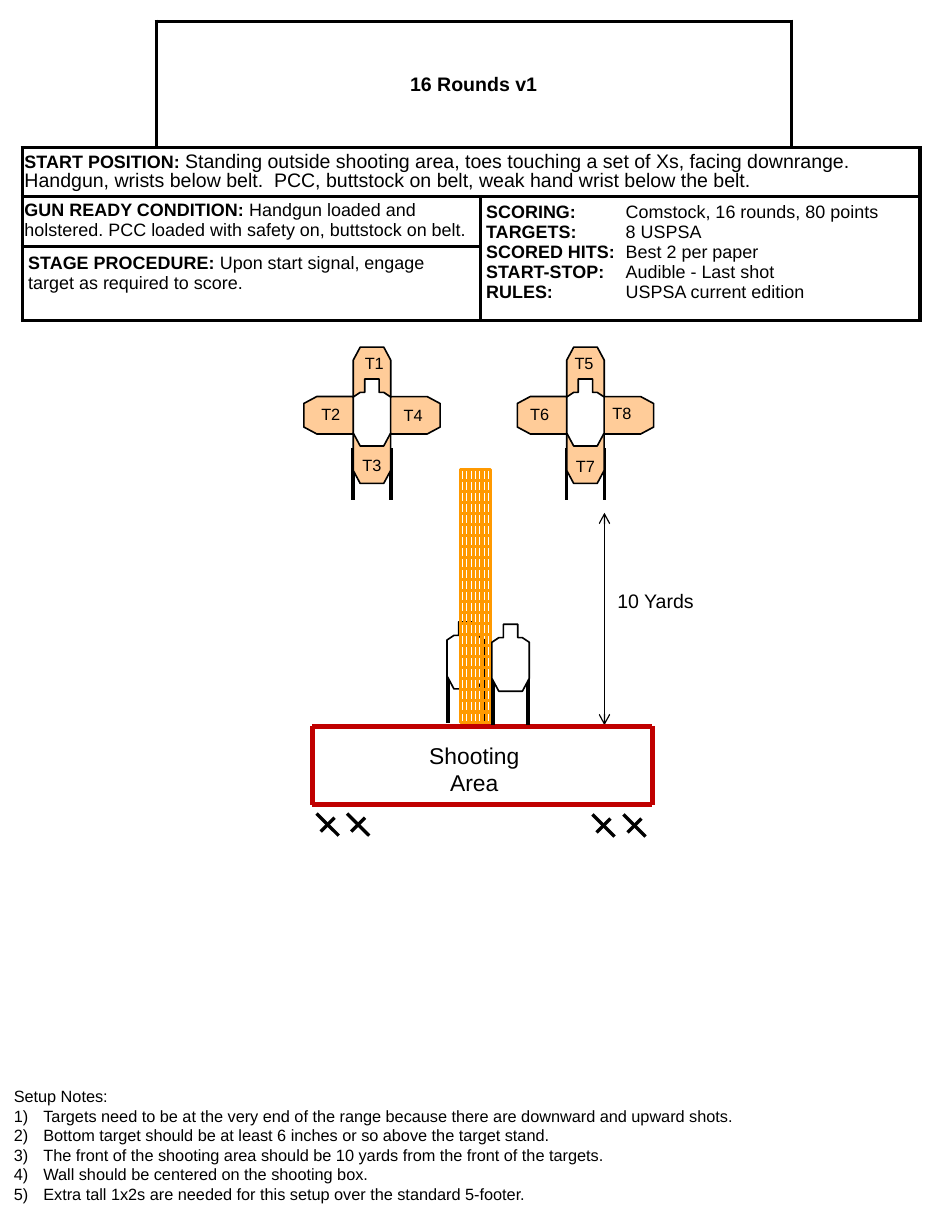
from lxml import etree
from pptx import Presentation
from pptx.dml.color import RGBColor
from pptx.enum.shapes import MSO_CONNECTOR, MSO_SHAPE
from pptx.enum.text import MSO_ANCHOR, PP_ALIGN
from pptx.oxml.ns import qn
from pptx.util import Cm, Pt

STRAIGHT = MSO_CONNECTOR.STRAIGHT
RECTANGLE = MSO_SHAPE.RECTANGLE
MIDDLE = MSO_ANCHOR.MIDDLE
LEFT, CENTER = PP_ALIGN.LEFT, PP_ALIGN.CENTER

THEME = {
    "font": "Arial",
    "black": "000000", "white": "FFFFFF", "tan": "FFCC99",
    "orange": "FF9900", "red": "C00000",
    "small": 10, "body": 11, "large": 12, "area": 14,
    "thin": 0.75, "outline": 1, "mark": 2, "frame": 2.25, "boundary": 3,
}

TITLE = "16 Rounds v1"
START = ("START POSITION: ",
         "Standing outside shooting area, toes touching a set of Xs, facing downrange. "
         "Handgun, wrists below belt.  PCC, buttstock on belt, weak hand wrist below the belt.")
READY = ("GUN READY CONDITION: ",
         "Handgun loaded and holstered. PCC loaded with safety on, buttstock on belt.")
PROCEDURE = ("STAGE PROCEDURE: ",
             "Upon start signal, engage target as required to score.")
SCORING = [
    ("SCORING:", "Comstock, 16 rounds, 80 points"),
    ("TARGETS:", "8 USPSA"),
    ("SCORED HITS:", "Best 2 per paper"),
    ("START-STOP:", "Audible - Last shot"),
    ("RULES:", "USPSA current edition"),
]
NOTES_TITLE = "Setup Notes:"
NOTES = [
    "Targets need to be at the very end of the range because there are downward and upward shots.",
    "Bottom target should be at least 6 inches or so above the target stand.",
    "The front of the shooting area should be 10 yards from the front of the targets.",
    "Wall should be centered on the shooting box.",
    "Extra tall 1x2s are needed for this setup over the standard 5-footer.",
]

COLUMNS = [2.9, 7.01, 6.73, 2.79]
ROWS = [2.74, 0.94, 1.09, 1.6]
MERGES = [((0, 1), (0, 2)), ((1, 0), (1, 3)), ((2, 0), (2, 1)),
          ((2, 2), (3, 3)), ((3, 0), (3, 1))]
OPEN_EDGES = {(0, 0): "LT", (0, 3): "RT"}

SILHOUETTE = [(0.25, 0), (0.56, 0), (0.56, 0.29), (0.66, 0.29), (0.81, 0.39),
              (0.81, 1.17), (0.66, 1.45), (0.15, 1.45), (0, 1.17), (0, 0.39),
              (0.15, 0.29), (0.25, 0.29)]
TARGET_W, TARGET_H = 0.81, 1.45
CROSS_Y, CROSS_REACH = 8.99, 0.75
CROSS_ARMS = [(-1, 0, 90), (1, 0, 270), (0, 1, 0), (0, -1, 180)]
CROSSES = [
    (8.05, [("T1", 0.05, -1.13), ("T2", -0.89, -0.01), ("T3", 0, 1.08), ("T4", 0.89, 0.01)]),
    (12.67, [("T5", -0.03, -1.13), ("T6", -0.99, -0.01), ("T7", 0, 1.1), ("T8", 0.79, -0.04)]),
]
NEAR_LEFT, NEAR_RIGHT = (10.08, 14.19), (11.05, 14.24)
AREA = (6.76, 15.72, 14.12, 17.42)
WALL = (9.96, 10.16, 0.66, 5.49)
WALL_ROWS, WALL_COLUMNS = 23, 7
FOOT_MARKS = [(7.09, 17.85), (7.75, 17.85), (13.06, 17.87), (13.73, 17.87)]


def color(name):
    return RGBColor.from_string(THEME[name])


def write(p, text, size="body", bold=False, align=LEFT):
    p.alignment = align
    r = p.add_run()
    r.text = text
    r.font.name = THEME["font"]
    r.font.size = Pt(THEME[size])
    r.font.bold = bold
    r.font.color.rgb = color("black")


def textbox(s, x, y, w, h, lines, **fmt):
    tf = s.shapes.add_textbox(Cm(x), Cm(y), Cm(w), Cm(h)).text_frame
    tf.word_wrap = False
    for i, text in enumerate(lines):
        write(tf.paragraphs[0] if i == 0 else tf.add_paragraph(), text, **fmt)
    return tf


def line(s, x1, y1, x2, y2, width, ink="black", arrows=False):
    sp = s.shapes.add_connector(STRAIGHT, Cm(x1), Cm(y1), Cm(x2), Cm(y2))
    sp.line.color.rgb = color(ink)
    sp.line.width = Pt(THEME[width])
    if arrows:
        ln = sp.line._get_or_add_ln()
        for end in ("a:headEnd", "a:tailEnd"):
            etree.SubElement(ln, qn(end), type="arrow")
    etree.SubElement(sp._element.spPr, qn("a:effectLst"))


def target(s, cx, cy, fill="white", turn=0):
    points = [(Cm(x), Cm(y)) for x, y in SILHOUETTE]
    builder = s.shapes.build_freeform(*points[0])
    builder.add_line_segments(points[1:], close=True)
    sp = builder.convert_to_shape(Cm(cx - TARGET_W / 2), Cm(cy - TARGET_H / 2))
    sp.rotation = turn
    sp.shadow.inherit = False
    sp.fill.solid()
    sp.fill.fore_color.rgb = color(fill)
    sp.line.color.rgb = color("black")
    sp.line.width = Pt(THEME["outline"])


def legs(s, cx, half, top, bottom):
    for x in (cx - half, cx + half):
        line(s, x, top, x, bottom, "frame")


def near_target(s, cx, cy):
    legs(s, cx, 0.38, cy + 0.34, cy + 1.46)
    target(s, cx, cy)


def cross(s, cx, labels):
    legs(s, cx, 0.41, CROSS_Y + 0.71, CROSS_Y + 1.83)
    for dx, dy, turn in CROSS_ARMS:
        target(s, cx + dx * CROSS_REACH, CROSS_Y + dy * CROSS_REACH, "tan", turn)
    target(s, cx, CROSS_Y - 0.06)
    for name, dx, dy in labels:
        textbox(s, cx + dx - 0.455, CROSS_Y + dy - 0.345, 0.91, 0.69, [name], size="small")


def style_cell(cell, open_edges):
    tcPr = cell._tc.get_or_add_tcPr()
    for edge in "LRTB":
        ln = etree.SubElement(tcPr, qn("a:ln" + edge), w=str(Pt(THEME["frame"])))
        if edge in open_edges:
            etree.SubElement(ln, qn("a:noFill"))
        else:
            fill = etree.SubElement(ln, qn("a:solidFill"))
            etree.SubElement(fill, qn("a:srgbClr"), val=THEME["black"])
    cell.fill.solid()
    cell.fill.fore_color.rgb = color("white")


def inset(cell, x, y):
    cell.margin_left = cell.margin_right = Cm(x)
    cell.margin_top = cell.margin_bottom = Cm(y)
    return cell.text_frame


def briefing(s):
    frame = s.shapes.add_table(len(ROWS), len(COLUMNS), Cm(0.48), Cm(0.46),
                               Cm(sum(COLUMNS)), Cm(sum(ROWS)))
    table = frame.table
    table.first_row = table.horz_banding = False
    for column, w in zip(table.columns, COLUMNS):
        column.width = Cm(w)
    for row, h in zip(table.rows, ROWS):
        row.height = Cm(h)
    for i in range(len(ROWS)):
        for j in range(len(COLUMNS)):
            style_cell(table.cell(i, j), OPEN_EDGES.get((i, j), ""))
    for first, last in MERGES:
        table.cell(*first).merge(table.cell(*last))

    title = table.cell(0, 1)
    title.vertical_anchor = MIDDLE
    write(inset(title, 0.13, 0.13).paragraphs[0], TITLE, size="large", bold=True, align=CENTER)
    for place, margins, (head, body), size in [
        ((1, 0), (0.05, 0.1), START, "large"),
        ((2, 0), (0.05, 0.08), READY, "body"),
        ((3, 0), (0.13, 0.13), PROCEDURE, "body"),
    ]:
        p = inset(table.cell(*place), *margins).paragraphs[0]
        write(p, head, bold=True)
        write(p, body, size=size)
    table.cell(1, 0).text_frame.paragraphs[0].line_spacing = 0.9

    tf = inset(table.cell(2, 2), 0.13, 0.13)
    for i, (head, body) in enumerate(SCORING):
        p = tf.paragraphs[0] if i == 0 else tf.add_paragraph()
        tabs = etree.SubElement(p._p.get_or_add_pPr(), qn("a:tabLst"))
        etree.SubElement(tabs, qn("a:tab"), pos=str(Cm(3.02)), algn="l")
        write(p, head + "\t", bold=True)
        write(p, body)


def setup_notes(s):
    tf = textbox(s, 0.05, 23.39, 16.18, 2.82, [NOTES_TITLE, *NOTES], size="small")
    for p in tf.paragraphs[1:]:
        pPr = p._p.get_or_add_pPr()
        pPr.set("marL", str(Cm(0.64)))
        pPr.set("indent", str(-Cm(0.64)))
        etree.SubElement(pPr, qn("a:buAutoNum"), type="arabicParenR")


def wall(s):
    x, y, w, h = WALL
    sp = s.shapes.add_shape(RECTANGLE, Cm(x), Cm(y), Cm(w), Cm(h))
    sp.shadow.inherit = False
    sp.fill.background()
    sp.line.color.rgb = color("orange")
    sp.line.width = Pt(THEME["mark"])
    for i in range(1, WALL_ROWS):
        level = y + h * i / WALL_ROWS
        line(s, x, level, x + w, level, "mark", "orange")
    for i in range(1, WALL_COLUMNS):
        across = x + w * i / WALL_COLUMNS
        line(s, across, y, across, y + h, "mark", "orange")


def shooting_area(s):
    x1, y1, x2, y2 = AREA
    for ends in [(x1, y1, x2, y1), (x1, y2, x2, y2), (x2, y1, x2, y2), (x1, y1, x1, y2)]:
        line(s, *ends, "boundary", "red")
    textbox(s, 9.02, 15.93, 2.49, 1.45, ["Shooting", "Area"], size="area", align=CENTER)
    for x, y in FOOT_MARKS:
        line(s, x - 0.24, y - 0.24, x + 0.24, y + 0.24, "mark")
        line(s, x - 0.15, y + 0.15, x + 0.15, y - 0.15, "mark")


def main():
    prs = Presentation()
    prs.slide_width, prs.slide_height = Cm(20.32), Cm(26.67)
    s = prs.slides.add_slide(prs.slide_layouts[6])
    near_target(s, *NEAR_LEFT)
    briefing(s)
    for cx, labels in CROSSES:
        cross(s, cx, labels)
    line(s, 13.08, 11.1, 13.08, 15.7, "thin", arrows=True)
    textbox(s, 13.11, 12.62, 2.18, 0.76, ["10 Yards"], size="large")
    setup_notes(s)
    shooting_area(s)
    wall(s)
    near_target(s, *NEAR_RIGHT)
    prs.save("out.pptx")


if __name__ == "__main__":
    main()
